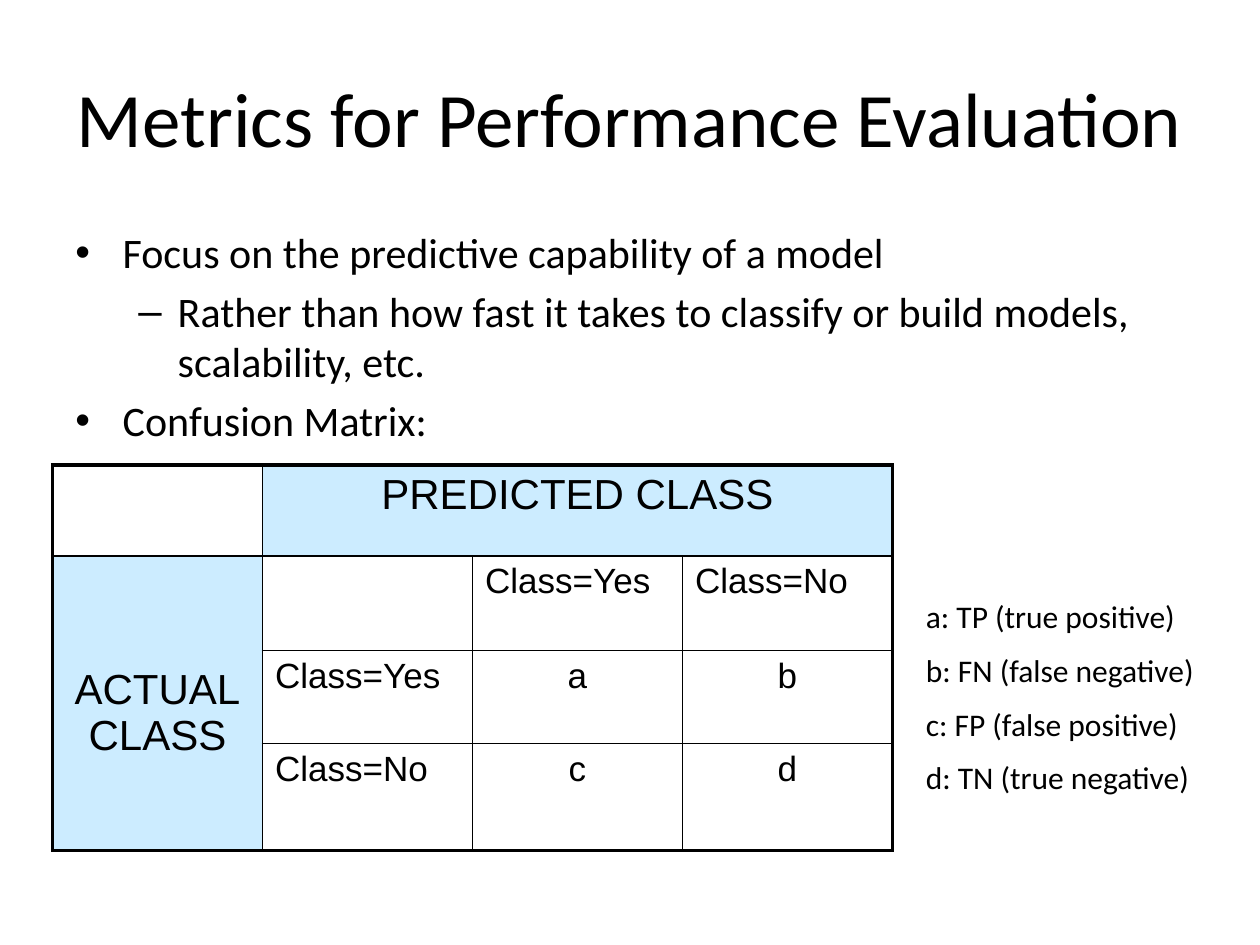
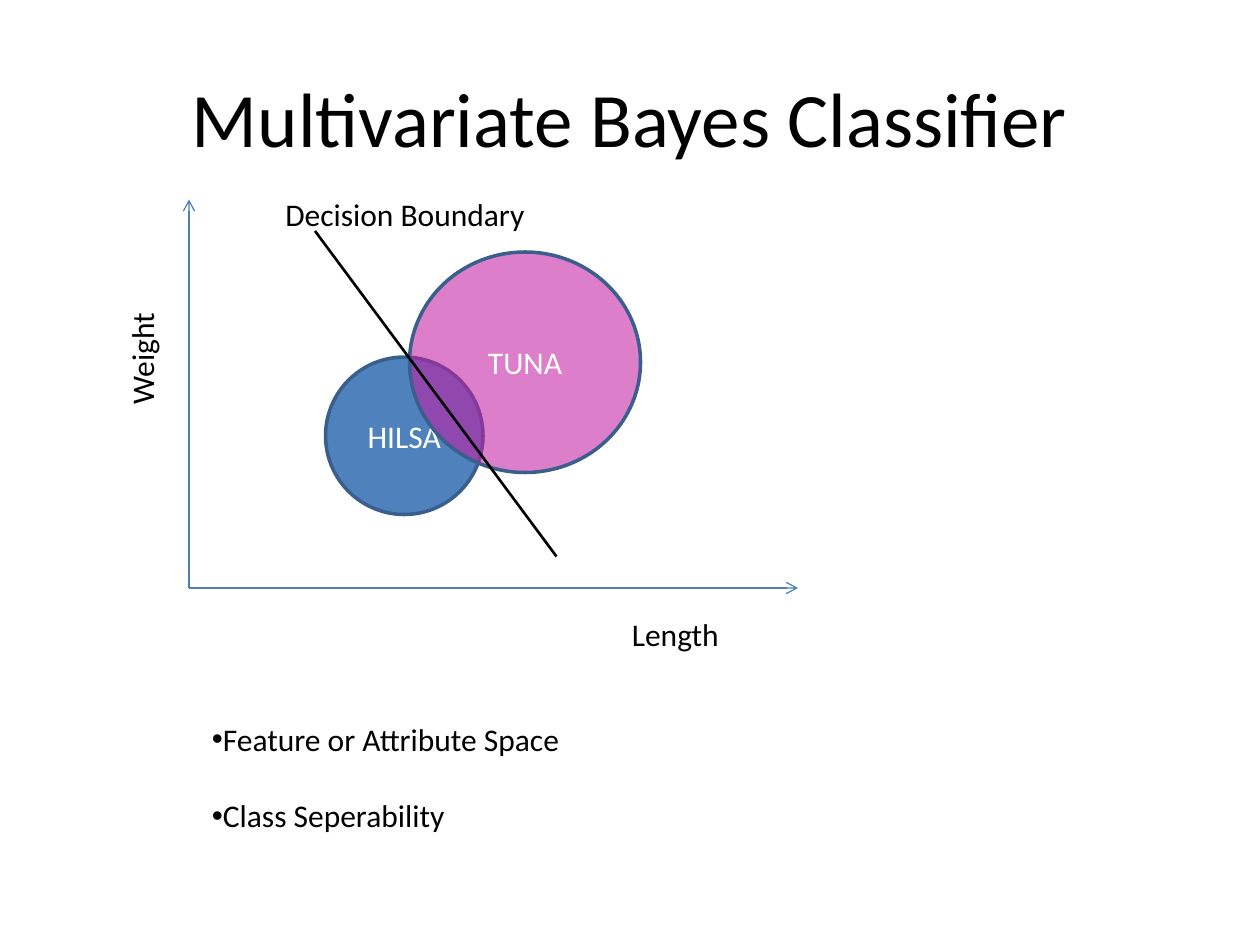
import pptx
import pptx.util
import pptx.dml.color
import pptx.enum.shapes
import pptx.enum.text
import pptx.oxml
import pptx.oxml.ns

COLORS = {
    "ink": "000000",
    "paper": "FFFFFF",
    "header": "CCECFF",
    "axis": "4B7EBC",
    "hilsa": "4F81BD",
    "tuna": "C31DA3",
    "outline": "3A5F8C",
}
WIDTH, HEIGHT = pptx.util.Inches(10), pptx.util.Inches(7.5)
COLUMNS, ROWS = 120, 90
ALIGN = pptx.enum.text.PP_ALIGN
ANCHOR = pptx.enum.text.MSO_ANCHOR
OUTER_BORDER, INNER_BORDER = 2.25, 1


def color(name):
    return pptx.dml.color.RGBColor.from_string(COLORS[name])


def columns(count):
    return round(WIDTH * count / COLUMNS)


def rows(count):
    return round(HEIGHT * count / ROWS)


def place(left, top, width, height):
    return columns(left), rows(top), columns(width), rows(height)


def apply(target, values):
    for name, value in values.items():
        setattr(target, name, value)


def append_xml(parent, tag, **attributes):
    element = pptx.oxml.parse_xml(f"<a:{tag} {pptx.oxml.ns.nsdecls('a')}/>")
    for name, value in attributes.items():
        element.set(name, str(value))
    parent.append(element)
    return element


class Deck:
    def __init__(self, presentation):
        self.presentation = presentation
        self.slide = None

    def new_slide(self, title):
        self.slide = self.presentation.slides.add_slide(self.presentation.slide_layouts[6])
        self.text([title], (6, 3.6, 108, 15), size=44, align=ALIGN.CENTER, anchor=ANCHOR.MIDDLE)

    def fill_paragraph(self, paragraph, text, size=18, font="Calibri", ink="ink", **layout):
        paragraph.text = text
        apply(paragraph, layout)
        for run in paragraph.runs:
            apply(run.font, {"size": pptx.util.Pt(size), "name": font})
            run.font.color.rgb = color(ink)

    def bullet(self, paragraph, mark, margin=0, hang=0):
        properties = paragraph._p.get_or_add_pPr()
        properties.set("marL", str(columns(margin)))
        properties.set("indent", str(-columns(hang)))
        append_xml(properties, "buFont", typeface="Arial")
        append_xml(properties, "buChar", char=mark)

    def text(self, lines, box, size=18, align=ALIGN.LEFT, anchor=ANCHOR.TOP,
             gap=0, wrap=True, rotation=0, bullets=()):
        shape = self.slide.shapes.add_textbox(*place(*box))
        shape.rotation = rotation
        frame = shape.text_frame
        apply(frame, {"word_wrap": wrap, "vertical_anchor": anchor})
        for index, line in enumerate(lines):
            paragraph = frame.add_paragraph() if index else frame.paragraphs[0]
            self.fill_paragraph(paragraph, line, size, alignment=align,
                                space_before=pptx.util.Pt(gap if index else 0))
            if bullets:
                self.bullet(paragraph, *bullets[index])

    def label(self, text, box, rotation=0):
        self.text([text], box, wrap=False, rotation=rotation)

    def line(self, start, end, ink, width, arrow=False):
        connector = self.slide.shapes.add_connector(
            pptx.enum.shapes.MSO_CONNECTOR.STRAIGHT,
            columns(start[0]), rows(start[1]), columns(end[0]), rows(end[1]))
        connector.line.color.rgb = color(ink)
        connector.line.width = pptx.util.Pt(width)
        if arrow:
            append_xml(connector.line._get_or_add_ln(), "tailEnd", type="arrow")
        append_xml(connector._element.spPr, "effectLst")

    def ellipse(self, text, box, fill, opacity=100):
        shape = self.slide.shapes.add_shape(
            pptx.enum.shapes.MSO_SHAPE.OVAL, *place(*box))
        shape.shadow.inherit = False
        shape.fill.solid()
        shape.fill.fore_color.rgb = color(fill)
        if opacity < 100:
            solid = shape._element.spPr.find(pptx.oxml.ns.qn("a:solidFill"))
            append_xml(solid[0], "alpha", val=opacity * 1000)
        shape.line.color.rgb = color("outline")
        shape.line.width = pptx.util.Pt(2)
        shape.text_frame.vertical_anchor = ANCHOR.MIDDLE
        self.fill_paragraph(shape.text_frame.paragraphs[0], text, ink="paper",
                            alignment=ALIGN.CENTER)

    def border(self, cell, outer_sides):
        properties = cell._tc.get_or_add_tcPr()
        for side, outer in outer_sides.items():
            width = pptx.util.Pt(OUTER_BORDER if outer else INNER_BORDER)
            edge = append_xml(properties, f"ln{side}", w=width)
            append_xml(append_xml(edge, "solidFill"), "srgbClr", val=COLORS["ink"])

    def table(self, contents, box, row_heights, merges, headers):
        row_count, column_count = len(contents), len(contents[0])
        table = self.slide.shapes.add_table(row_count, column_count, *place(*box)).table
        apply(table, {"first_row": False, "horz_banding": False})
        for column in table.columns:
            column.width = columns(box[2] / column_count)
        for row, height in zip(table.rows, row_heights):
            row.height = rows(height)
        for first, last in merges:
            table.cell(*first).merge(table.cell(*last))
        for row, texts in enumerate(contents):
            for column, text in enumerate(texts):
                cell = table.cell(row, column)
                self.border(cell, {
                    "L": column == 0,
                    "R": column + cell.span_width == column_count,
                    "T": row == 0,
                    "B": row + cell.span_height == row_count,
                })
                header = (row, column) in headers
                if header:
                    cell.fill.solid()
                    cell.fill.fore_color.rgb = color("header")
                else:
                    cell.fill.background()
                if text:
                    size = 24 if header else 20
                    centered = header or len(text) == 1
                    self.fill_paragraph(cell.text_frame.paragraphs[0], text, size, "Arial",
                                        alignment=ALIGN.CENTER if centered else ALIGN.LEFT,
                                        space_before=pptx.util.Pt(size / 10),
                                        space_after=pptx.util.Pt(4))
        return table


def metrics_slide(deck):
    deck.new_slide("Metrics for Performance Evaluation")
    main_point, detail = ("•", 4.5, 4.5), ("–", 9.75, 3.75)
    deck.text(
        ["Focus on the predictive capability of a model",
         "Rather than how fast it takes to classify or build models, scalability, etc.",
         "Confusion Matrix:"],
        (6, 21, 108, 59.4), size=24, gap=4.8, bullets=[main_point, detail, main_point])
    matrix = deck.table(
        [["", "PREDICTED CLASS", "", ""],
         ["ACTUAL\vCLASS", "", "Class=Yes", "Class=No"],
         ["", "Class=Yes", "a", "b"],
         ["", "Class=No", "c", "d"]],
        (5, 44.3, 80, 36.7), [8.65, 9, 8.85, 10.2],
        merges=[((0, 1), (0, 3)), ((1, 0), (3, 0))],
        headers={(0, 1), (1, 0)})
    matrix.cell(1, 0).margin_top = rows(10.5)
    deck.text(
        ["a: TP (true positive)", "b: FN (false negative)",
         "c: FP (false positive)", "d: TN (true negative)"],
        (87, 56.3, 29, 16.5), gap=9)


def classifier_slide(deck):
    deck.new_slide("Multivariate Bayes Classifier")
    origin = (18, 56)
    for axis_end in ((76, 56), (18, 19)):
        deck.line(origin, axis_end, "axis", 0.75, arrow=True)
    deck.ellipse("HILSA", (31, 34, 15, 15), "hilsa")
    deck.ellipse("TUNA", (39, 24, 22, 21), "tuna", opacity=57)
    deck.label("Length", (59, 58, 11.6, 4.8))
    deck.label("Weight", (7.6, 31.4, 11.8, 4.8), rotation=270)
    deck.line((30, 22), (53, 53), "ink", 1.5)
    deck.label("Decision Boundary", (26, 18, 27.8, 4.8))
    deck.text(["Feature or Attribute Space", "Class Seperability"],
              (19, 68, 38.8, 12.1), gap=22, wrap=False, bullets=[("•",), ("•",)])


def main():
    presentation = pptx.Presentation()
    apply(presentation, {"slide_width": WIDTH, "slide_height": HEIGHT})
    deck = Deck(presentation)
    metrics_slide(deck)
    classifier_slide(deck)
    presentation.save("out.pptx")


if __name__ == "__main__":
    main()
